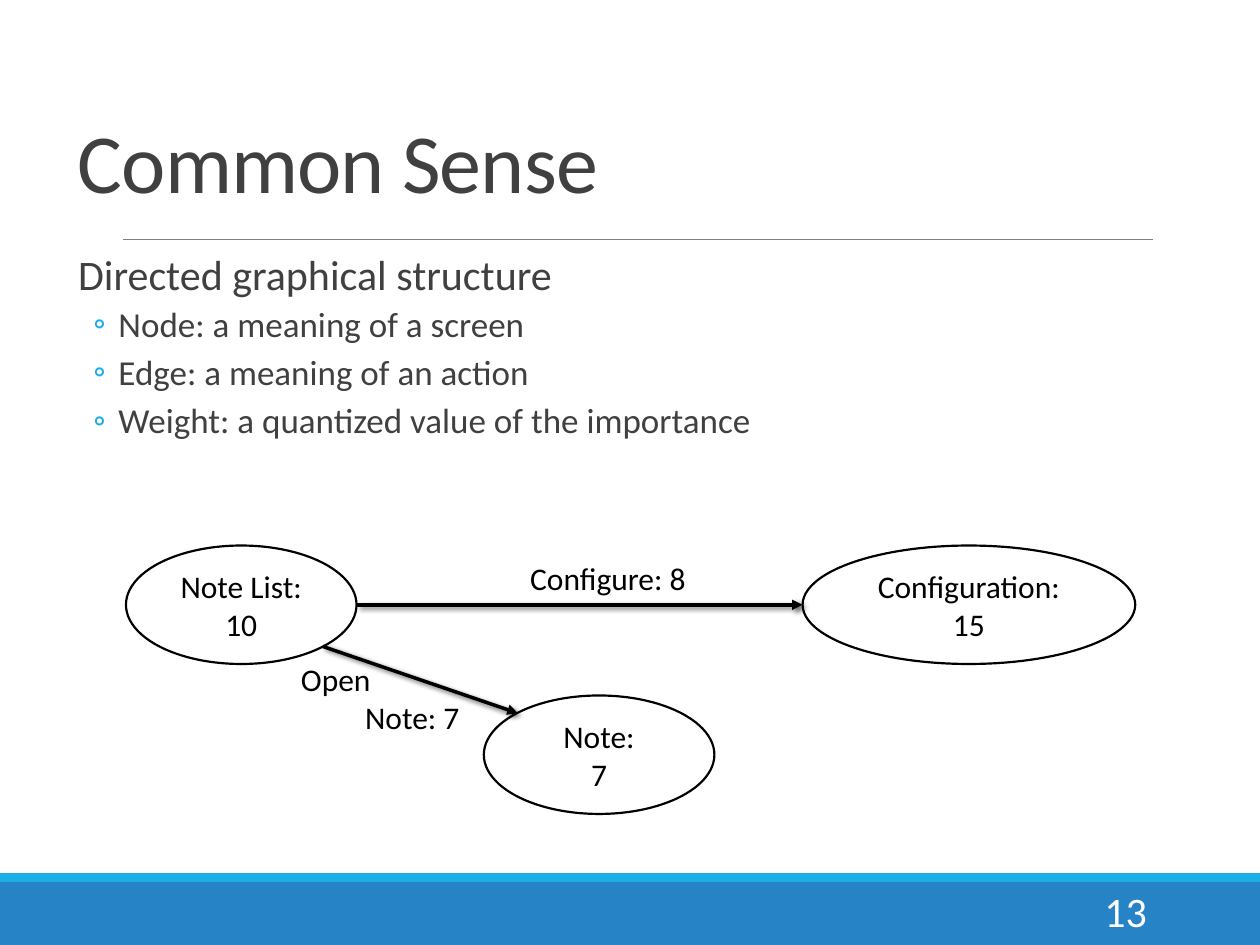
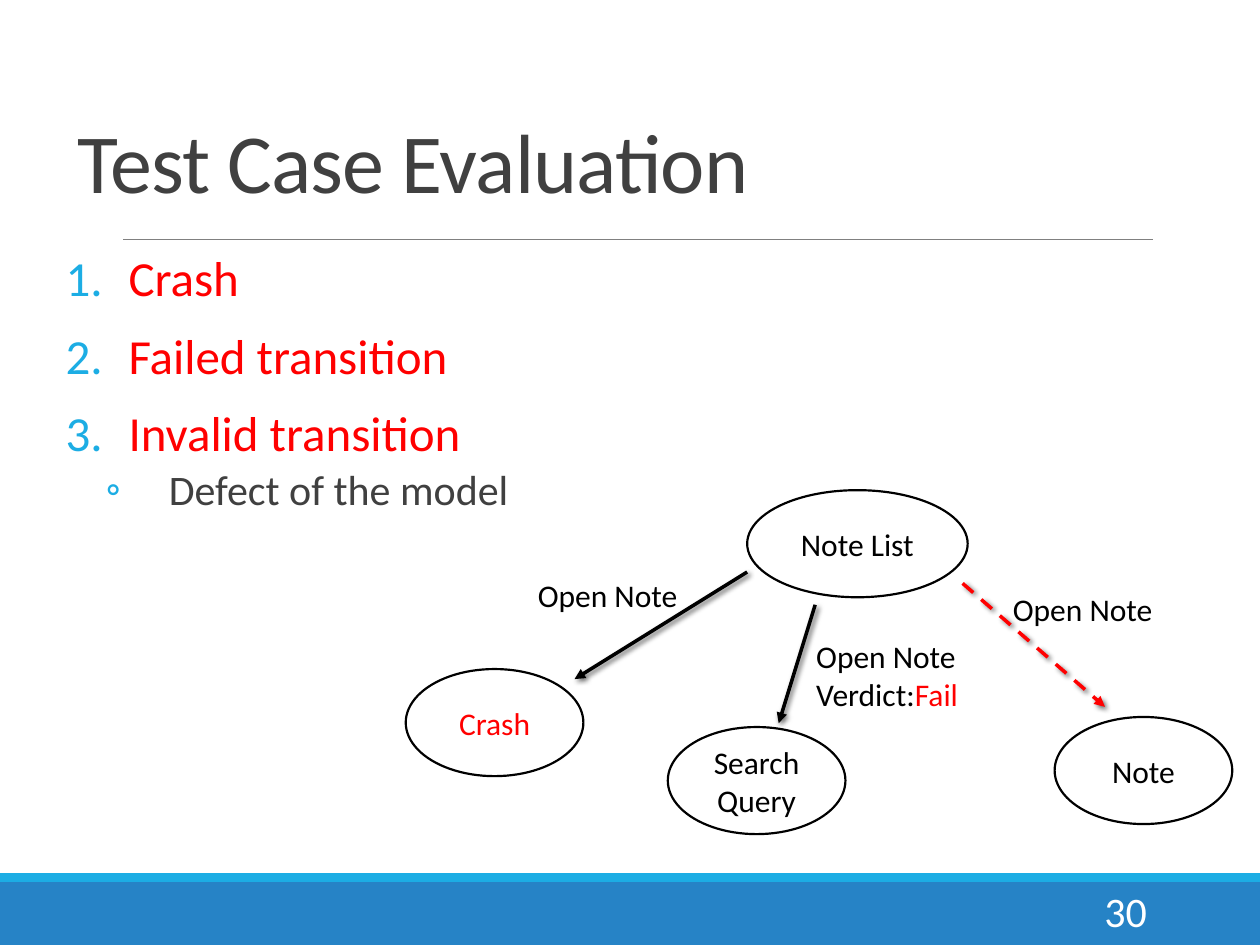
from dataclasses import dataclass
from typing import Any, Optional

from lxml import etree
from pptx import Presentation
from pptx import util as u
from pptx.dml.color import RGBColor
from pptx.enum import dml, shapes, text
from pptx.oxml import ns

# Shared look
BLUE = RGBColor(0x26, 0x83, 0xC6)
CYAN = RGBColor(0x1C, 0xAD, 0xE4)
GREY = RGBColor(0x80, 0x80, 0x80)
INK = RGBColor(0x40, 0x40, 0x40)
BLACK = RGBColor(0, 0, 0)
WHITE = RGBColor(0xFF, 0xFF, 0xFF)
RED = RGBColor(0xFF, 0, 0)
FONT = "Calibri"

# The slide is a grid of 100 columns by 75 rows
COLUMNS, ROWS = 100, 75
WIDTH, HEIGHT = u.Inches(10), u.Inches(7.5)
Area = tuple[float, float, float, float]  # column, row, columns wide, rows high
Point = tuple[float, float]


def col(n: float) -> int:
    return round(WIDTH * n / COLUMNS)


def row(n: float) -> int:
    return round(HEIGHT * n / ROWS)


def place(area: Area) -> tuple[int, int, int, int]:
    left, top, wide, high = area
    return col(left), row(top), col(wide), row(high)


@dataclass(frozen=True)
class Span:
    words: str
    color: RGBColor = BLACK
    size: float = 18


@dataclass(frozen=True)
class Line:
    """One paragraph: spans, format values, and an optional bullet."""
    spans: tuple[Span, ...]
    layout: dict[str, Any]
    bullet: Optional[str] = None
    margin: float = 0
    hanging: float = 0


@dataclass(frozen=True)
class Node:
    area: Area
    lines: tuple[str, ...]
    color: RGBColor = BLACK


@dataclass(frozen=True)
class Edge:
    start: Point
    end: Point
    color: RGBColor = BLACK
    dashed: bool = False


@dataclass(frozen=True)
class Label:
    area: Area
    lines: tuple[Line, ...]


@dataclass(frozen=True)
class Page:
    number: int
    title: str
    points: tuple[Line, ...]
    nodes: tuple[Node, ...]
    edges: tuple[Edge, ...]
    labels: tuple[Label, ...]


# Format values
TITLE = {"line_spacing": 0.85}
TOPIC = {"line_spacing": 0.9, "space_before": u.Pt(12), "space_after": u.Pt(2)}
DETAIL = {"line_spacing": 0.9, "space_before": u.Pt(2), "space_after": u.Pt(4), "level": 1}
CENTRED = {"alignment": text.PP_ALIGN.CENTER}
RIGHT = {"alignment": text.PP_ALIGN.RIGHT}
MIDDLE = {"word_wrap": True, "vertical_anchor": text.MSO_ANCHOR.MIDDLE}
BOTTOM = {"word_wrap": True, "vertical_anchor": text.MSO_ANCHOR.BOTTOM}
FLUSH = {"word_wrap": True, "margin_left": 0, "margin_right": 0}
UNWRAPPED = {"word_wrap": False}


def apply(target: Any, values: dict[str, Any]) -> None:
    for key, value in values.items():
        setattr(target, key, value)


def child(parent: Any, tag: str, **attributes: Any) -> Any:
    return etree.SubElement(parent, ns.qn(tag), {k: str(v) for k, v in attributes.items()})


# Content helpers
def detail(words: str, size: float = 20, margin: float = 4.2, hanging: float = 2) -> Line:
    return Line((Span(words, INK, size),), DETAIL, "◦", margin, hanging)


def numbered(words: str) -> Line:
    return Line((Span(words, RED, 28),), TOPIC, "1.", 5, 5)


def plain(*spans: Span, margin: float = 0) -> Line:
    return Line(spans, {}, margin=margin)


# Drawing
def write(frame: Any, lines: tuple[Line, ...], values: dict[str, Any]) -> None:
    apply(frame, values)
    for index, line in enumerate(lines):
        paragraph = frame.add_paragraph() if index else frame.paragraphs[0]
        apply(paragraph, line.layout)
        properties = paragraph._p.get_or_add_pPr()
        properties.set("marL", str(col(line.margin)))
        properties.set("indent", str(-col(line.hanging)))
        if line.bullet:
            child(child(properties, "a:buClr"), "a:srgbClr", val=CYAN)
            if line.bullet == "1.":
                child(properties, "a:buAutoNum", type="arabicPeriod")
            else:
                child(properties, "a:buFont", typeface=FONT)
                child(properties, "a:buChar", char=line.bullet)
        for span in line.spans:
            run = paragraph.add_run()
            run.text = span.words
            apply(run.font, {"name": FONT, "size": u.Pt(span.size)})
            run.font.color.rgb = span.color


def add_text(slide: Any, area: Area, lines: tuple[Line, ...], values: dict[str, Any]) -> Any:
    frame = slide.shapes.add_textbox(*place(area)).text_frame
    write(frame, lines, values)
    return frame


def add_filled(slide: Any, kind: Any, area: Area, fill: RGBColor) -> Any:
    shape = slide.shapes.add_shape(kind, *place(area))
    shape.shadow.inherit = False
    shape.fill.solid()
    shape.fill.fore_color.rgb = fill
    shape.line.fill.background()
    return shape


def add_line(slide: Any, start: Point, end: Point, color: RGBColor, weight: float) -> tuple[Any, Any]:
    """Return the connector and its effect list, still empty."""
    line = slide.shapes.add_connector(
        shapes.MSO_CONNECTOR.STRAIGHT, col(start[0]), row(start[1]), col(end[0]), row(end[1]))
    line.line.color.rgb = color
    line.line.width = u.Pt(weight)
    return line, child(line._element.spPr, "a:effectLst")


def add_node(slide: Any, node: Node) -> None:
    oval = add_filled(slide, shapes.MSO_SHAPE.OVAL, node.area, WHITE)
    oval.line.color.rgb = BLACK
    oval.line.width = u.Pt(1.25)
    lines = tuple(Line((Span(words, node.color),), CENTRED) for words in node.lines)
    write(oval.text_frame, lines, MIDDLE)


def add_edge(slide: Any, edge: Edge) -> None:
    arrow, effects = add_line(slide, edge.start, edge.end, edge.color, 2)
    if edge.dashed:
        arrow.line.dash_style = dml.MSO_LINE.DASH
    child(arrow.line._get_or_add_ln(), "a:tailEnd", type="triangle")
    shadow = child(effects, "a:outerShdw", blurRad=u.Pt(3), dist=u.Pt(2),
                   dir=45 * 60000, rotWithShape=0)
    child(child(shadow, "a:srgbClr", val=BLACK), "a:alpha", val=60000)


def add_frame(slide: Any, page: Page) -> None:
    """Bands, rule, title and page number."""
    for area, color in (((0, 70, 100, 5), BLUE), ((0, 69.3, 100, 0.7), CYAN)):
        add_filled(slide, shapes.MSO_SHAPE.RECTANGLE, area, color)
    add_line(slide, (9.8, 19), (91.5, 19), GREY, 0.5)
    heading = add_text(slide, (5.2, 1.3, 90.1, 15.9),
                       (Line((Span(page.title, INK, 48),), TITLE),), BOTTOM)
    heading.paragraphs[0].runs[0]._r.get_or_add_rPr().set("spc", "-50")
    add_text(slide, (81.2, 70.3, 10.8, 4),
             (Line((Span(str(page.number), WHITE, 24),), RIGHT),), MIDDLE)


def build(deck: Any, page: Page) -> None:
    slide = deck.slides.add_slide(deck.slide_layouts[6])
    add_frame(slide, page)
    add_text(slide, (5.2, 19.7, 90.1, 48.8), page.points, FLUSH)
    for node in page.nodes:
        add_node(slide, node)
    for edge in page.edges:
        add_edge(slide, edge)
    for label in page.labels:
        add_text(slide, label.area, label.lines, UNWRAPPED)


# Content
OPEN_NOTE = plain(Span("Open Note"))

COMMON_SENSE = Page(
    13, "Common Sense",
    points=(
        Line((Span("Directed graphical structure", INK, 24),), TOPIC, " ", 1, 1),
        detail("Node: a meaning of a screen"),
        detail("Edge: a meaning of an action"),
        detail("Weight: a quantized value of the importance"),
    ),
    nodes=(
        Node((10, 43.3, 18.3, 9.4), ("Note List: 10",)),
        Node((38.4, 55.2, 18.3, 9.4), ("Note:", "7")),
        Node((63.7, 43.3, 26.4, 9.4), ("Configuration:", "15")),
    ),
    edges=(
        Edge((25.6, 51.3), (41.1, 56.6)),
        Edge((28.3, 48), (63.7, 48)),
    ),
    labels=(
        Label((22.9, 51.9, 17.2, 7.1),
              (plain(Span("Open")), plain(Span("Note: 7"), margin=5.1))),
        Label((41.1, 43.9, 17, 4), (plain(Span("Configure: 8")),)),
    ),
)

EVALUATION = Page(
    30, "Test Case Evaluation",
    points=(
        numbered("Crash"),
        numbered("Failed transition"),
        numbered("Invalid transition"),
        detail("Defect of the model", 24, 8.2, 5),
    ),
    nodes=(
        Node((59.3, 38.9, 17.5, 8.5), ("Note List",)),
        Node((32.2, 53.1, 14.1, 8.5), ("Crash",), RED),
        Node((53, 57.7, 14.1, 8.5), ("Search", "Query")),
        Node((83.7, 56.9, 14.1, 8.5), ("Note",)),
    ),
    edges=(
        Edge((64.7, 48), (61.8, 57.4)),
        Edge((59.3, 45.4), (45.6, 53.9)),
        Edge((76.4, 46.3), (87.7, 56.1), RED, dashed=True),
    ),
    labels=(
        Label((63.8, 50.1, 13.4, 7.1),
              (OPEN_NOTE, plain(Span("Verdict:"), Span("Fail", RED)))),
        Label((41.7, 45.2, 13.2, 4), (OPEN_NOTE,)),
        Label((79.4, 46.3, 13.2, 4), (OPEN_NOTE,)),
    ),
)


def main() -> None:
    deck = Presentation()
    apply(deck, {"slide_width": WIDTH, "slide_height": HEIGHT})
    for page in (COMMON_SENSE, EVALUATION):
        build(deck, page)
    deck.save("out.pptx")


if __name__ == "__main__":
    main()
